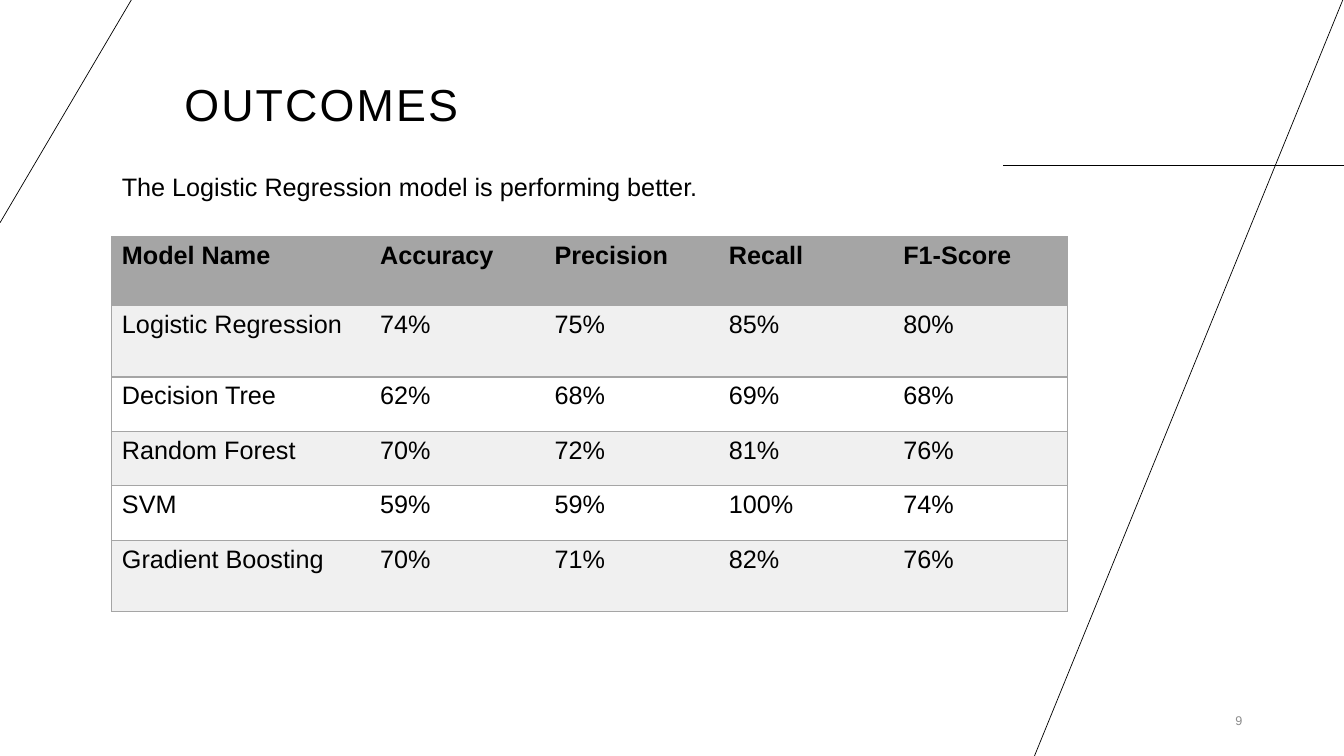
from lxml import etree
from pptx import Presentation
from pptx.dml.color import RGBColor
from pptx.enum.shapes import MSO_CONNECTOR
from pptx.enum.text import MSO_ANCHOR, PP_ALIGN
from pptx.oxml.ns import qn
from pptx.util import Inches, Pt

STRAIGHT = MSO_CONNECTOR.STRAIGHT
TOP, MIDDLE, BOTTOM = MSO_ANCHOR.TOP, MSO_ANCHOR.MIDDLE, MSO_ANCHOR.BOTTOM
LEFT, RIGHT = PP_ALIGN.LEFT, PP_ALIGN.RIGHT

BLACK = RGBColor(0x00, 0x00, 0x00)
WHITE = RGBColor(0xFF, 0xFF, 0xFF)
GREY = RGBColor(0xA5, 0xA5, 0xA5)
PALE_GREY = RGBColor(0xF0, 0xF0, 0xF0)
NUMBER_GREY = RGBColor(0x8C, 0x8C, 0x8C)
FONT = "Arial"

DECOR_LINES = [
    (9.95, 1.64, 13.33, 1.64),
    (13.33, -0.03, 10.26, 7.5),
    (0, 2.21, 1.32, -0.03),
]
SCORES = [
    ("Model Name", "Accuracy", "Precision", "Recall", "F1-Score"),
    ("Logistic Regression", "74%", "75%", "85%", "80%"),
    ("Decision Tree", "62%", "68%", "69%", "68%"),
    ("Random Forest", "70%", "72%", "81%", "76%"),
    ("SVM", "59%", "59%", "100%", "74%"),
    ("Gradient Boosting", "70%", "71%", "82%", "76%"),
]
COLUMN_WIDTHS = [2.56] + [1.73] * 4
ROW_HEIGHTS = [0.68, 0.71, 0.54, 0.54, 0.54, 0.71]


def style_font(paragraph, size, color=BLACK, bold=False):
    font = paragraph.font
    font.name, font.size, font.bold = FONT, Pt(size), bold
    font.color.rgb = color


def add_decor(slide):
    for ends in DECOR_LINES:
        line = slide.shapes.add_connector(STRAIGHT, *map(Inches, ends))
        line.line.color.rgb = BLACK
        line.line.width = Pt(0.5)
        etree.SubElement(line._element.spPr, qn("a:effectLst"))


def add_text(slide, box, text, size, color=BLACK, anchor=TOP, align=LEFT):
    frame = slide.shapes.add_textbox(*map(Inches, box)).text_frame
    frame.word_wrap = True
    frame.vertical_anchor = anchor
    paragraph = frame.paragraphs[0]
    paragraph.text = text
    paragraph.alignment = align
    style_font(paragraph, size, color)
    return paragraph


def add_title(slide, box, text):
    title = add_text(slide, box, text, 32, anchor=BOTTOM)
    title.line_spacing = 0.9
    title.runs[0]._r.get_or_add_rPr().set("spc", "150")


def set_borders(cell, drawn):
    """Draw the sides in drawn and clear the others."""
    properties = cell._tc.get_or_add_tcPr()
    for position, side in enumerate("LRTB"):
        border = etree.Element(qn(f"a:ln{side}"), w=str(Pt(1)))
        if side in drawn:
            fill = etree.SubElement(border, qn("a:solidFill"))
            etree.SubElement(fill, qn("a:srgbClr"), val=str(GREY))
        else:
            etree.SubElement(border, qn("a:noFill"))
        properties.insert(position, border)


def add_score_table(slide, left, top):
    table = slide.shapes.add_table(
        len(SCORES), len(COLUMN_WIDTHS), Inches(left), Inches(top),
        Inches(sum(COLUMN_WIDTHS)), Inches(sum(ROW_HEIGHTS))).table
    for column, width in zip(table.columns, COLUMN_WIDTHS):
        column.width = Inches(width)
    for row, height in zip(table.rows, ROW_HEIGHTS):
        row.height = Inches(height)

    last = len(COLUMN_WIDTHS) - 1
    for r, scores in enumerate(SCORES):
        band = GREY if r == 0 else PALE_GREY if r % 2 else WHITE
        for c, score in enumerate(scores):
            cell = table.cell(r, c)
            cell.text = score
            style_font(cell.text_frame.paragraphs[0], 18, bold=r == 0)
            cell.fill.solid()
            cell.fill.fore_color.rgb = band
            set_borders(cell, "TB" + "L" * (c == 0) + "R" * (c == last))


def main():
    prs = Presentation()
    prs.slide_width, prs.slide_height = Inches(13.33), Inches(7.5)
    slide = prs.slides.add_slide(prs.slide_layouts[6])

    add_decor(slide)
    add_title(slide, (1.73, 0.77, 6.74, 0.58), "OUTCOMES")
    # Slide number
    add_text(slide, (11.34, 6.95, 1.08, 0.4), "9", 9, NUMBER_GREY, MIDDLE, RIGHT)
    add_score_table(slide, 1.11, 2.35)
    # Finding above the table
    add_text(slide, (1.11, 1.65, 6.34, 0.4),
             "The Logistic Regression model is performing better.", 18)

    prs.save("out.pptx")


if __name__ == "__main__":
    main()
